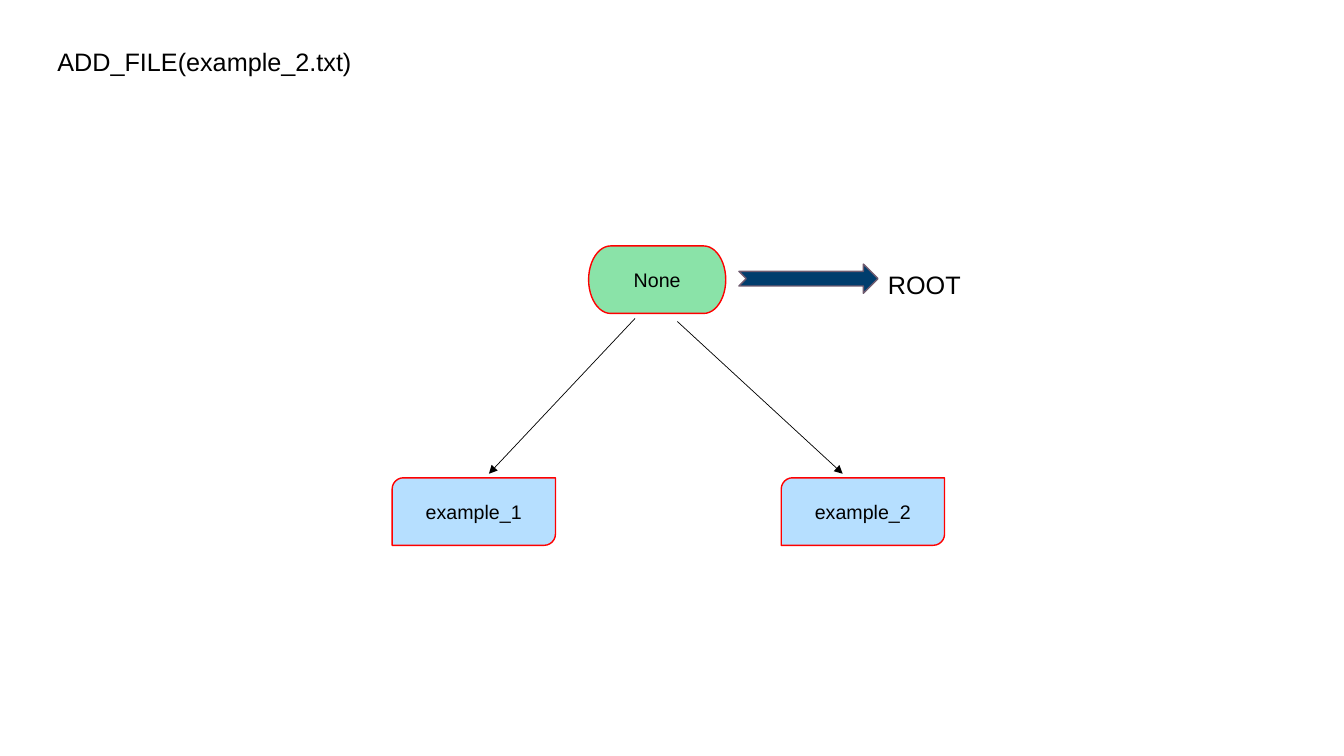
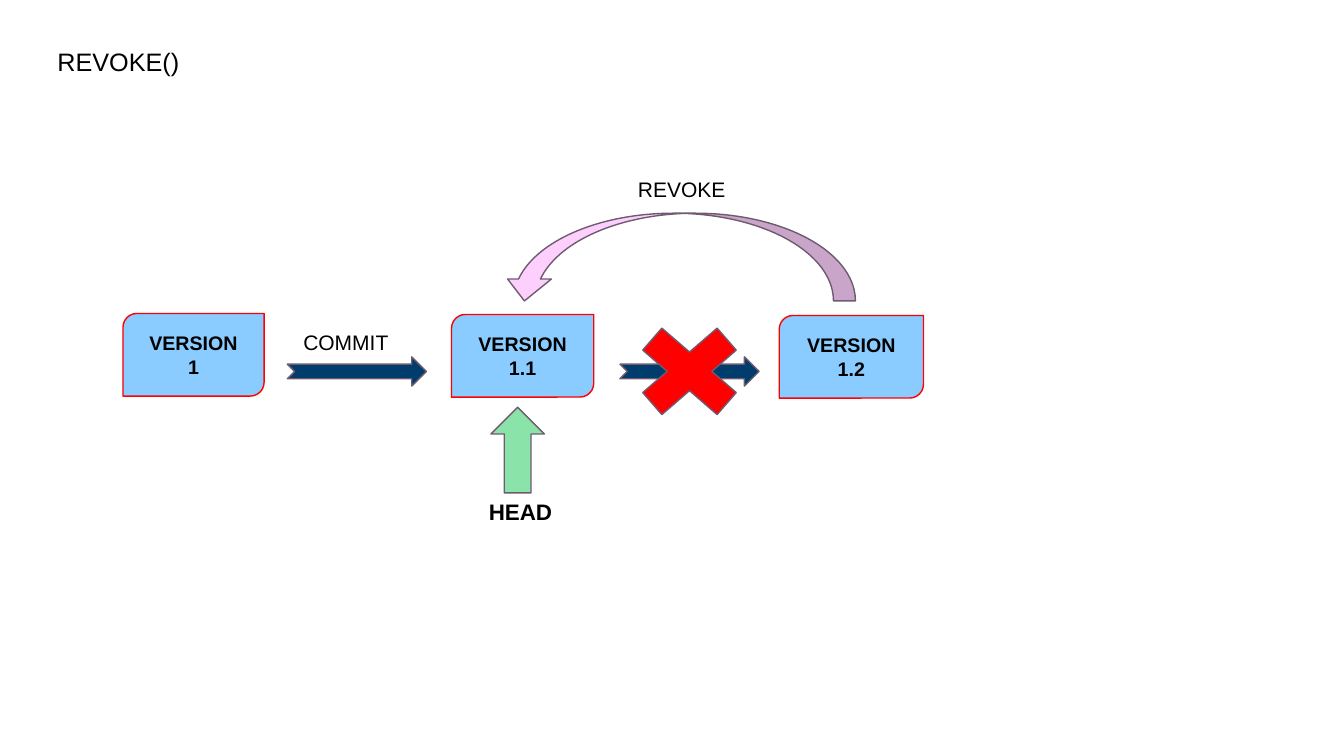
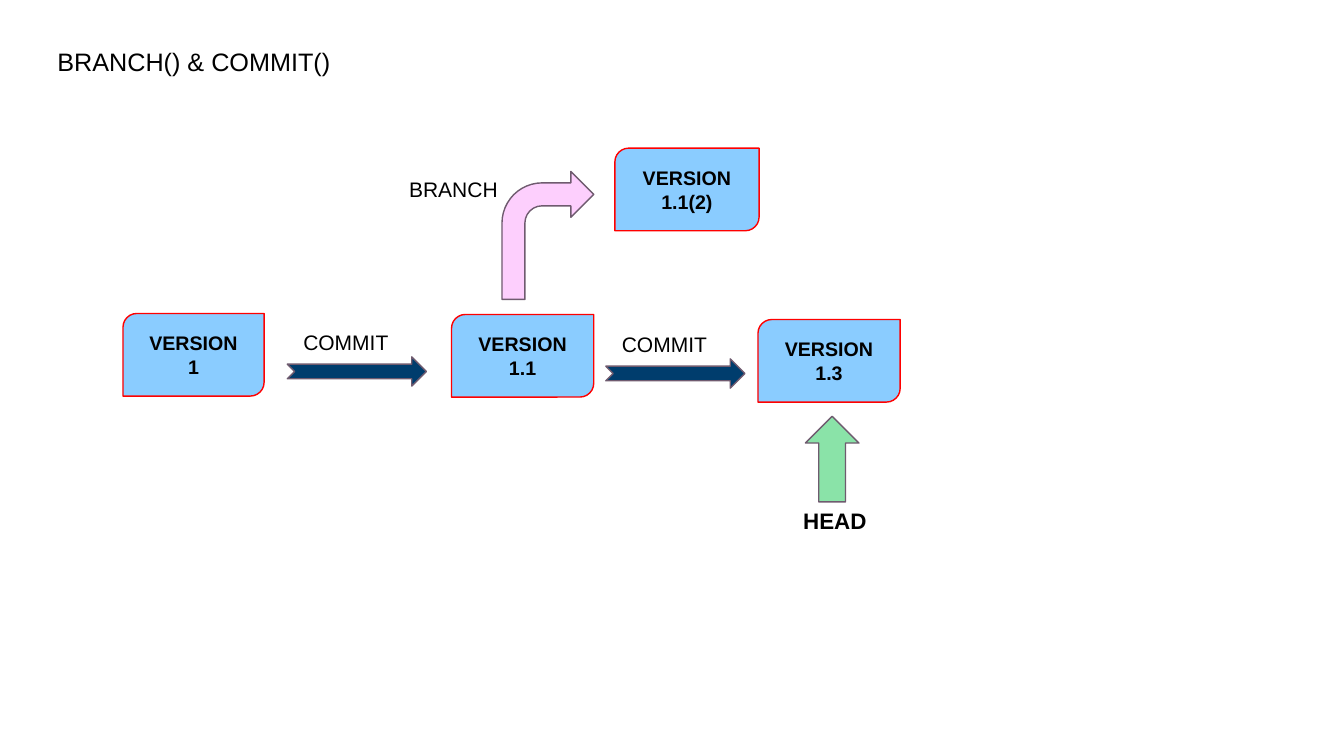
from lxml import etree
from pptx import Presentation
from pptx.dml.color import RGBColor
from pptx.enum.shapes import MSO_CONNECTOR, MSO_SHAPE
from pptx.enum.text import MSO_ANCHOR, MSO_AUTO_SIZE, PP_ALIGN
from pptx.oxml.ns import qn
from pptx.util import Inches, Pt

CARD = MSO_SHAPE.ROUND_2_DIAG_RECTANGLE
TERMINATOR = MSO_SHAPE.FLOWCHART_TERMINATOR
NOTCHED_ARROW = MSO_SHAPE.NOTCHED_RIGHT_ARROW
CURVED_ARROW = MSO_SHAPE.CURVED_RIGHT_ARROW
BENT_ARROW = MSO_SHAPE.BENT_ARROW
UP_ARROW = MSO_SHAPE.UP_ARROW
CROSS = MSO_SHAPE.MATH_MULTIPLY
STRAIGHT = MSO_CONNECTOR.STRAIGHT
LEFT, CENTER = PP_ALIGN.LEFT, PP_ALIGN.CENTER
TOP, MIDDLE = MSO_ANCHOR.TOP, MSO_ANCHOR.MIDDLE
FIXED = MSO_AUTO_SIZE.NONE

BLACK = RGBColor(0x00, 0x00, 0x00)
RED = RGBColor(0xFF, 0x00, 0x00)
PLUM = RGBColor(0x6F, 0x5B, 0x6F)
NAVY = RGBColor(0x00, 0x3D, 0x6D)
SKY = RGBColor(0x8A, 0xCC, 0xFF)
PALE_SKY = RGBColor(0xB6, 0xDF, 0xFF)
MINT = RGBColor(0x8A, 0xE3, 0xA8)
PINK = RGBColor(0xFD, 0xCF, 0xFD)
FONT = "Arial"

deck = Presentation()
deck.slide_width, deck.slide_height = Inches(13.33), Inches(7.5)
COLUMN, ROW = deck.slide_width / 100, deck.slide_height / 100


def write(box, text, size=14, bold=False, align=LEFT, anchor=TOP):
    frame = box.text_frame
    frame.word_wrap = True
    frame.auto_size = FIXED
    frame.vertical_anchor = anchor
    frame.text = text
    for para in frame.paragraphs:
        para.alignment = align
        for span in para.runs:
            span.font.name = FONT
            span.font.size = Pt(size)
            span.font.bold = bold
            span.font.color.rgb = BLACK


def draw(page, kind, column, row, columns, rows, fill, line=PLUM):
    shape = page.shapes.add_shape(
        kind, int(column * COLUMN), int(row * ROW), int(columns * COLUMN), int(rows * ROW))
    shape.shadow.inherit = False
    shape.fill.solid()
    shape.fill.fore_color.rgb = fill
    shape.line.color.rgb = line
    shape.line.width = Pt(1)
    return shape


layout = deck.slide_layouts[5]
heading = layout.placeholders[0]
heading.left, heading.top = int(3.52 * COLUMN), int(5.47 * ROW)
heading.width, heading.height = int(46.12 * COLUMN), int(5.33 * ROW)

pages = []
for title in ("ADD_FILE(example_2.txt)", "REVOKE()", "BRANCH() & COMMIT()"):
    page = deck.slides.add_slide(layout)
    write(page.shapes.title, title, size=18)
    pages.append(page)
add_page, revoke_page, branch_page = pages

for kind, text, column, row, columns, fill in (
    (CARD, "example_1", 29.18, 63.2, 12.15, PALE_SKY),
    (CARD, "example_2", 58.13, 63.2, 12.15, PALE_SKY),
    (TERMINATOR, "None", 43.8, 32.53, 10.2, MINT),
):
    node = draw(add_page, kind, column, row, columns, 8.93, fill, RED)
    write(node, text, align=CENTER, anchor=MIDDLE)

for start_column, start_row, end_column in ((50.4, 42.53, 62.7), (47.25, 42.13, 36.38)):
    branch = add_page.shapes.add_connector(
        STRAIGHT, int(start_column * COLUMN), int(start_row * ROW),
        int(end_column * COLUMN), int(62.67 * ROW))
    branch.line.color.rgb = BLACK
    branch.line.width = Pt(0.5)
    properties = branch.element.spPr
    etree.SubElement(properties.find(qn("a:ln")), qn("a:tailEnd"), type="triangle")
    etree.SubElement(properties, qn("a:effectLst"))

for page, number, column, row, columns in (
    (revoke_page, "1", 9.15, 41.47, 10.5),
    (revoke_page, "1.1", 33.6, 41.6, 10.58),
    (revoke_page, "1.2", 57.98, 41.73, 10.73),
    (branch_page, "1", 9.15, 41.47, 10.5),
    (branch_page, "1.1", 33.6, 41.6, 10.58),
    (branch_page, "1.1(2)", 45.75, 19.6, 10.73),
    (branch_page, "1.3", 56.4, 42.27, 10.58),
):
    version = draw(page, CARD, column, row, columns, 10.93, SKY, RED)
    write(version, "VERSION\n" + number, bold=True, align=CENTER, anchor=MIDDLE)

for page, column, row in (
    (add_page, 54.98, 34.93),
    (revoke_page, 21.38, 47.2),
    (revoke_page, 46.13, 47.2),
    (branch_page, 21.38, 47.2),
    (branch_page, 45.08, 47.47),
):
    draw(page, NOTCHED_ARROW, column, row, 10.35, 3.87, NAVY)

revoke_arrow = draw(revoke_page, CURVED_ARROW, 47.25, 10.67, 6.53, 46.67, PINK)
revoke_arrow.rotation = 90
draw(revoke_page, CROSS, 45.98, 40.93, 10.65, 16.4, RED)
draw(branch_page, BENT_ARROW, 37.35, 22.67, 6.83, 16.93, PINK)

labels = [
    (add_page, "ROOT", 65.33, 34.93, 18, False),
    (revoke_page, "COMMIT", 21.83, 42.93, 15, False),
    (revoke_page, "REVOKE", 46.73, 22.67, 15, False),
    (branch_page, "COMMIT", 21.83, 42.93, 15, False),
    (branch_page, "COMMIT", 45.53, 43.2, 15, False),
    (branch_page, "BRANCH", 29.7, 22.67, 15, False),
]
for page, column, row in ((revoke_page, 36.53, 53.87), (branch_page, 59.93, 55.07)):
    draw(page, UP_ARROW, column, row, 3.98, 11.33, MINT)
    labels.append((page, "HEAD", column - 0.9, row + 11.4, 16, True))

for page, text, column, row, size, bold in labels:
    label = page.shapes.add_textbox(
        int(column * COLUMN), int(row * ROW), int(9.7 * COLUMN), int(5 * ROW))
    write(label, text, size=size, bold=bold)

deck.save("out.pptx")
